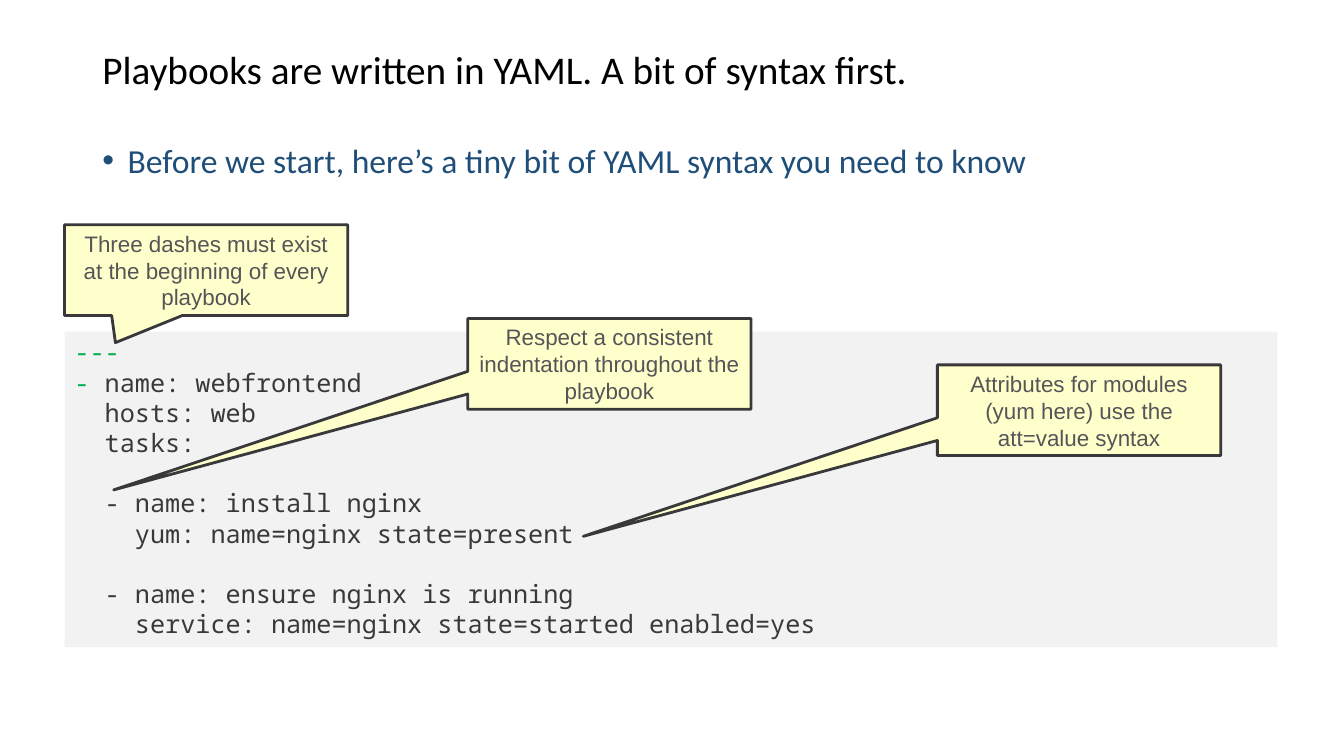
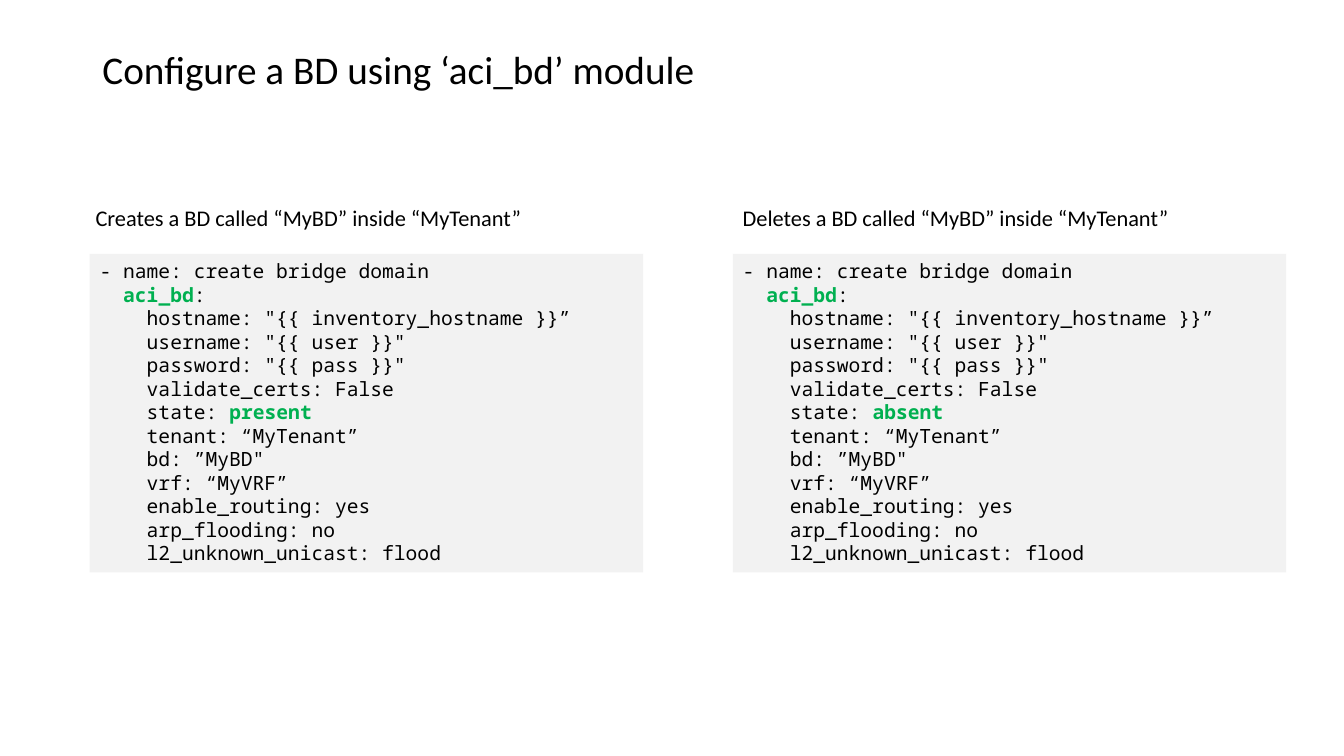
from dataclasses import dataclass

from lxml import etree
from pptx import Presentation
from pptx.dml.color import RGBColor
from pptx.enum.shapes import MSO_SHAPE
from pptx.enum.text import MSO_ANCHOR, MSO_AUTO_SIZE, PP_ALIGN
from pptx.oxml.ns import qn
from pptx.util import Inches, Pt

RECT, CALL = MSO_SHAPE.RECTANGLE, MSO_SHAPE.RECTANGULAR_CALLOUT
TOP, MID = MSO_ANCHOR.TOP, MSO_ANCHOR.MIDDLE
FIT, FIXED = MSO_AUTO_SIZE.SHAPE_TO_FIT_TEXT, MSO_AUTO_SIZE.NONE
LEFT, CENTER = PP_ALIGN.LEFT, PP_ALIGN.CENTER

# Shared look
HUES = {
    "black": "000000", "navy": "1F4E79", "green": "00B050", "dark": "39393B",
    "gray": "555558", "panel": "F2F2F2", "note": "FFFFCC",
}
SANS, MONO, ARIAL = "Calibri", "Noto Sans Mono", "Arial"
WIDE, HIGH = Inches(13.33), Inches(7.5)
COLS, ROWS = 40, 30


@dataclass
class Box:
    """Place and size in columns and rows of the slide grid."""
    col: float
    row: float
    cols: float
    rows: float

    def emu(self) -> tuple[int, ...]:
        x, y = WIDE / COLS, HIGH / ROWS
        return (int(self.col * x), int(self.row * y),
                int(self.cols * x), int(self.rows * y))


@dataclass
class Run:
    text: str
    hue: str = "black"
    bold: bool = False


@dataclass
class Line:
    runs: list[Run]
    gap: float = 0  # space before, in points


@dataclass
class Note:
    text: str
    col: float
    row: float
    tip: tuple[float, float]


@dataclass
class Task:
    label: str
    state: str
    col: float
    inset: float


HEAD = Box(2.75, 1.6, 34.5, 2.48)
BODY = Box(2.75, 5.52, 34.5, 21.48)


def tint(hue: str) -> RGBColor:
    return RGBColor.from_string(HUES[hue])


def write(frame, lines: list[Line], font: str, size: float,
          align=LEFT, lead: float = 1) -> None:
    frame.word_wrap = True
    for i, line in enumerate(lines):
        para = frame.paragraphs[0] if i == 0 else frame.add_paragraph()
        para.alignment, para.line_spacing = align, lead
        para.space_before, para.space_after = Pt(line.gap), Pt(0)
        for part in line.runs:
            run = para.add_run()
            run.text = part.text
            run.font.name, run.font.size = font, Pt(size)
            run.font.bold = part.bold
            run.font.color.rgb = tint(part.hue)


def place(shape, box: Box) -> None:
    shape.left, shape.top, shape.width, shape.height = box.emu()


def start(deck, kind: int, title: str):
    slide = deck.slides.add_slide(deck.slide_layouts[kind])
    head = slide.shapes.title
    place(head, HEAD)
    frame = head.text_frame
    frame.vertical_anchor, frame.auto_size = MID, FIXED
    write(frame, [Line([Run(title)])], SANS, 28, lead=0.9)
    return slide


def bullet(slide, text: str) -> None:
    body = slide.placeholders[1]
    place(body, BODY)
    frame = body.text_frame
    frame.vertical_anchor, frame.auto_size = TOP, FIXED
    write(frame, [Line([Run(text, "navy")])], SANS, 24, lead=0.9)
    props = frame.paragraphs[0]._p.get_or_add_pPr()
    props.set("marL", str(Inches(0.25)))
    props.set("indent", str(-Inches(0.25)))
    etree.SubElement(props, qn("a:buFont")).set("typeface", ARIAL)
    etree.SubElement(props, qn("a:buChar")).set("char", "•")


def block(slide, kind, box: Box, fill: str):
    shape = slide.shapes.add_shape(kind, *box.emu())
    shape.shadow.inherit = False
    shape.fill.solid()
    shape.fill.fore_color.rgb = tint(fill)
    shape.line.fill.background()
    return shape


def code(slide, box: Box, lines: list[Line], size: float) -> None:
    frame = block(slide, RECT, box, "panel").text_frame
    frame.vertical_anchor, frame.auto_size = TOP, FIT
    write(frame, lines, MONO, size)


def callout(slide, note: Note) -> None:
    shape = block(slide, CALL, Box(note.col, note.row, 8.43, 3.6), "note")
    shape.line.color.rgb = tint("dark")
    shape.line.width = Pt(2)
    for i, share in enumerate(note.tip):
        shape.adjustments[i] = share
    shape.text_frame.vertical_anchor = MID
    write(shape.text_frame, [Line([Run(note.text, "gray")])], ARIAL, 16, CENTER)


def label(slide, box: Box, text: str) -> None:
    frame = slide.shapes.add_textbox(*box.emu()).text_frame
    frame.auto_size = FIT
    write(frame, [Line([Run(text)])], SANS, 16)


# Slide 1: YAML syntax
def syntax(deck) -> None:
    slide = start(deck, 1, "Playbooks are written in YAML. A bit of syntax first.")
    bullet(slide, "Before we start, here’s a tiny bit of YAML syntax you need to know")
    skip = 21.6  # one line of code
    rest = [
        ("  hosts: web", 0),
        ("  tasks:", 0),
        ("  - name: install nginx", skip),
        ("    yum: name=nginx state=present", 0),
        ("  - name: ensure nginx is running", skip),
        ("    service: name=nginx state=started enabled=yes", 0),
    ]
    lines = [Line([Run("---", "green")]),
             Line([Run("- ", "green"), Run("name: webfrontend", "dark")])]
    lines += [Line([Run(text, "dark")], gap) for text, gap in rest]
    code(slide, Box(1.92, 13.16, 36.1, 12.52), lines, 18)

    far = (-1.75, 1.39)
    for note in (
        Note("Three dashes must exist at the beginning of every playbook",
             1.92, 8.92, (-0.32, 0.8)),
        Note("Respect a consistent indentation throughout the playbook",
             13.92, 12.64, far),
        Note("Attributes for modules (yum here) use the att=value syntax",
             27.9, 14.48, far),
    ):
        callout(slide, note)


# Slide 2: one module, two states
def states(deck) -> None:
    slide = start(deck, 5, "Configure a BD using ‘aci_bd’ module")
    above = ['hostname: "{{ inventory_hostname }}”', 'username: "{{ user }}"',
             'password: "{{ pass }}"', "validate_certs: False"]
    below = ["tenant: “MyTenant”", 'bd: ”MyBD"', "vrf: “MyVRF”",
             "enable_routing: yes", "arp_flooding: no",
             "l2_unknown_unicast: flood"]

    def plain(items: list[str]) -> list[Line]:
        return [Line([Run("    " + item)]) for item in items]

    for task in (Task("Creates", "present", 2.67, -0.12),
                 Task("Deletes", "absent", 21.81, 0)):
        lines = [
            Line([Run("- name: create bridge domain")]),
            Line([Run("  "), Run("aci_bd", "green", True), Run(":")]),
            *plain(above),
            Line([Run("    state: "), Run(task.state, "green", True)]),
            *plain(below),
        ]
        code(slide, Box(task.col, 10.08, 16.47, 12.64), lines, 14)
        label(slide, Box(task.col + task.inset, 7.92, 14.52, 1.48),
              f"{task.label} a BD called “MyBD” inside “MyTenant”")


def main() -> None:
    deck = Presentation()
    deck.slide_width, deck.slide_height = WIDE, HIGH
    syntax(deck)
    states(deck)
    deck.save("out.pptx")


if __name__ == "__main__":
    main()
